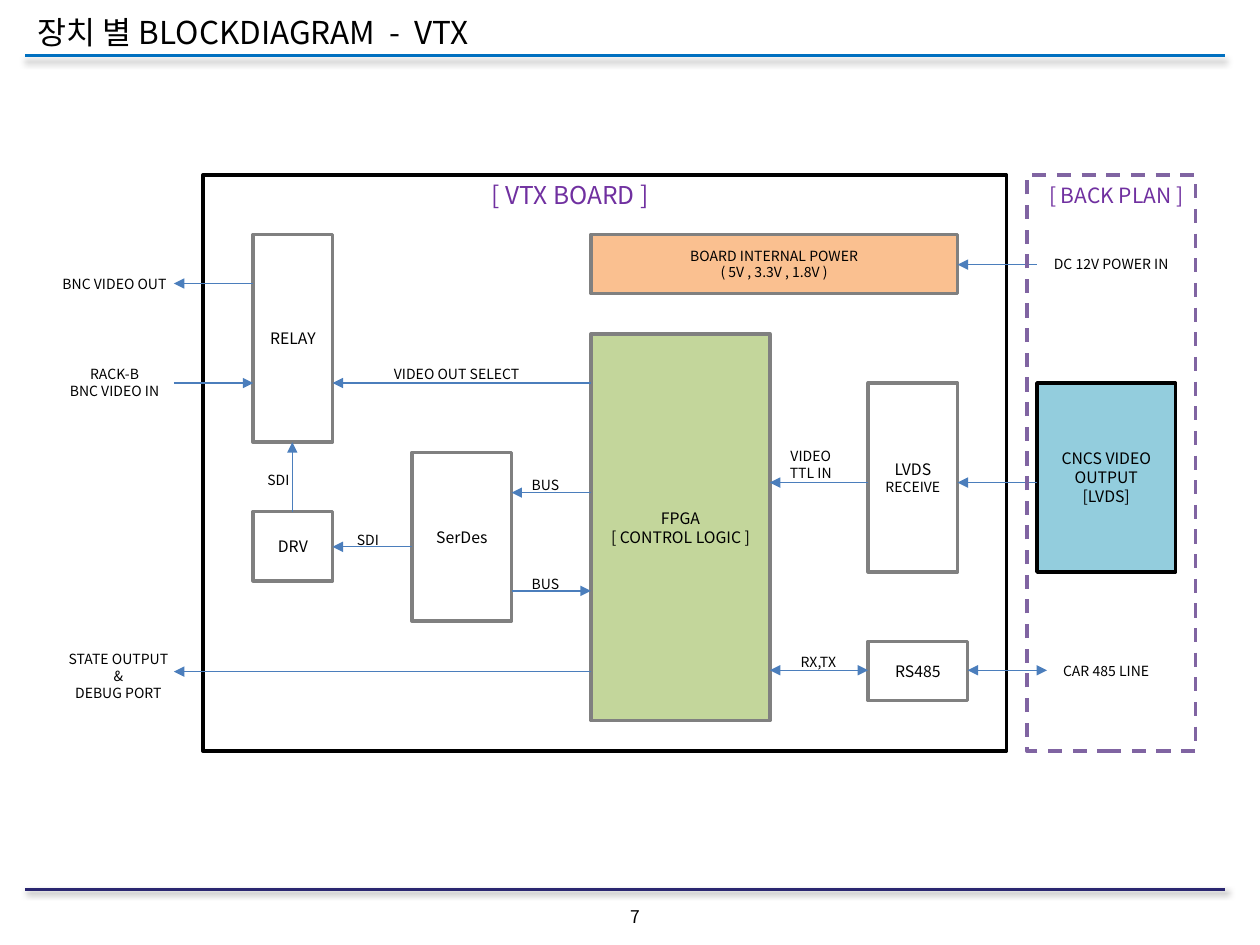
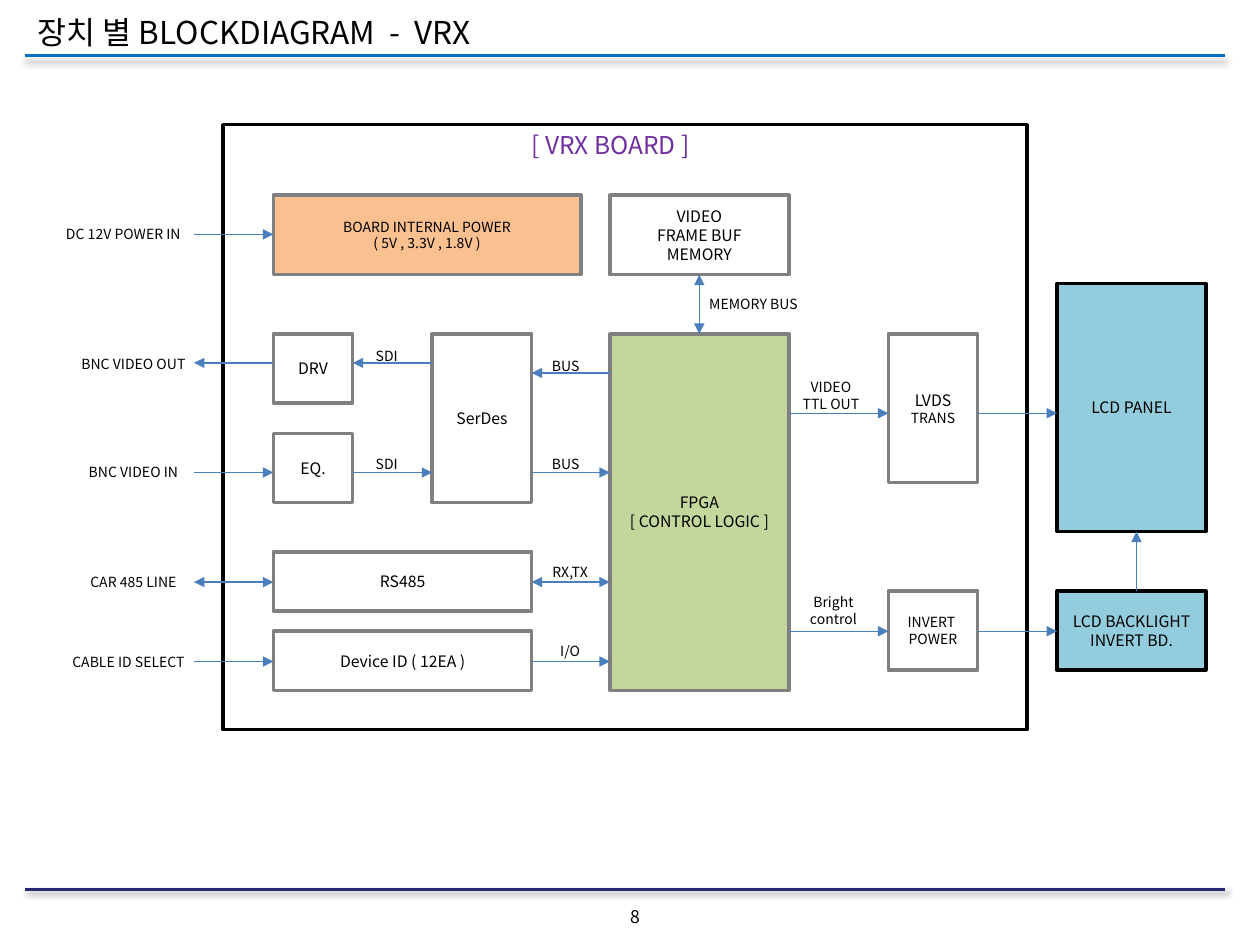
from lxml import etree
from pptx import Presentation
from pptx.dml.color import RGBColor
from pptx.enum import dml, shapes, text
from pptx.oxml.ns import qn
from pptx.util import Inches, Pt

FONT = "Noto Sans CJK KR"
BLACK = RGBColor(0x00, 0x00, 0x00)
GREY = RGBColor(0x80, 0x80, 0x80)
GREEN = RGBColor(0xC3, 0xD6, 0x9B)
ORANGE = RGBColor(0xFA, 0xC0, 0x90)
AQUA = RGBColor(0x93, 0xCD, 0xDD)
ARROW_BLUE = RGBColor(0x4B, 0x7E, 0xBC)
TITLE_BLUE = RGBColor(0x00, 0x70, 0xC0)
FOOTER_NAVY = RGBColor(0x2A, 0x26, 0x70)
PURPLE = RGBColor(0x70, 0x30, 0xA0)
DASH_PURPLE = RGBColor(0x80, 0x64, 0xA2)

FPGA = "FPGA\n[ CONTROL LOGIC ]"
POWER = "BOARD INTERNAL POWER\n( 5V , 3.3V , 1.8V )"
SMALL_LINES = {*POWER.split("\n"), "RECEIVE", "TRANS", "INVERT ", "POWER"}
FILLS = {"fpga": GREEN, "power": ORANGE}

VTX = {
    "title": "장치 별 BLOCKDIAGRAM  -  VTX",
    "page": "7",
    "board": (1.61, 1.39, 6.38, 4.57),
    "blocks": {
        "drv": ("DRV", (2.01, 4.06, 0.63, 0.55)),
        "serdes": ("SerDes", (3.27, 3.59, 0.79, 1.34)),
        "fpga": (FPGA, (4.69, 2.65, 1.42, 3.07)),
        "relay": ("RELAY", (2.01, 1.86, 0.63, 1.65)),
        "lvds": ("LVDS\nRECEIVE", (6.89, 3.04, 0.71, 1.5)),
        "rs485": ("RS485", (6.89, 5.09, 0.79, 0.47)),
        "power": (POWER, (4.69, 1.86, 2.91, 0.47)),
    },
    "external": {
        "cncs": ("CNCS VIDEO\nOUTPUT\n[LVDS]", (8.23, 3.04, 1.1, 1.5)),
    },
    "flows": [
        ("fpga", "serdes", 3.91), ("serdes", "fpga", 4.69),
        ("serdes", "drv", 4.34), ("relay", 1.38, 2.25),
        (1.38, "relay", 3.04), ("lvds", "fpga", 3.83),
        ("cncs", "lvds", 3.83), (8.23, "power", 2.1),
        ("fpga", "relay", 3.04), ("fpga", 1.38, 5.33),
    ],
    "two_way": [("rs485", 8.31, 5.32), ("fpga", "rs485", 5.32)],
    "rising": [("drv", "relay", 2.32)],
    "rising_two_way": [],
    "labels": [
        ("BUS", (4.21, 3.75, 0.24, 0.19)),
        ("BUS", (4.21, 4.54, 0.24, 0.19)),
        ("SDI", (2.8, 4.19, 0.24, 0.19)),
        ("SDI", (2.09, 3.71, 0.24, 0.19)),
        ("VIDEO\nTTL IN", (6.18, 3.59, 0.51, 0.19)),
        ("RX,TX", (6.34, 5.17, 0.31, 0.16)),
        ("VIDEO OUT SELECT", (2.8, 2.81, 1.65, 0.31)),
        ("CAR 485 LINE", (8.15, 5.17, 1.26, 0.31)),
        ("DC 12V POWER IN", (8.23, 1.94, 1.18, 0.31)),
        ("BNC VIDEO OUT", (0.28, 2.1, 1.26, 0.31)),
        ("RACK-B\nBNC VIDEO IN", (0.28, 2.88, 1.26, 0.31)),
        ("STATE OUTPUT\n&\nDEBUG PORT", (0.43, 5.09, 1.02, 0.55)),
    ],
    "headings": [
        ("[ VTX BOARD ]", (3.58, 1.39, 1.89, 0.31), 14),
        ("[ BACK PLAN ]", (8.15, 1.39, 1.42, 0.31), 12),
    ],
    "back_plan": (8.15, 1.39, 1.34, 4.57),
}

VRX = {
    "title": "장치 별 BLOCKDIAGRAM  -  VRX",
    "page": "8",
    "board": (1.77, 0.99, 6.38, 4.8),
    "blocks": {
        "drv": ("DRV", (2.17, 2.65, 0.63, 0.55)),
        "eq": ("EQ.", (2.17, 3.44, 0.63, 0.55)),
        "serdes": ("SerDes", (3.43, 2.65, 0.79, 1.34)),
        "fpga": (FPGA, (4.84, 2.65, 1.42, 2.83)),
        "lvds": ("LVDS\nTRANS", (7.05, 2.65, 0.71, 1.18)),
        "rs485": ("RS485", (2.17, 4.38, 2.05, 0.47)),
        "device": ("Device ID ( 12EA )", (2.17, 5.01, 2.05, 0.47)),
        "memory": ("VIDEO\nFRAME BUF\nMEMORY", (4.84, 1.55, 1.42, 0.63)),
        "power": (POWER, (2.17, 1.55, 2.44, 0.63)),
        "invert": ("INVERT \nPOWER", (7.05, 4.69, 0.71, 0.63)),
    },
    "external": {
        "panel": ("LCD PANEL", (8.39, 2.25, 1.18, 1.97)),
        "backlight": ("LCD BACKLIGHT\nINVERT BD.", (8.39, 4.69, 1.18, 0.63)),
    },
    "flows": [
        ("fpga", "serdes", 2.96), ("serdes", "fpga", 3.75),
        ("serdes", "drv", 2.88), ("eq", "serdes", 3.75),
        ("drv", 1.54, 2.88), (1.54, "eq", 3.75),
        ("fpga", "lvds", 3.28), ("lvds", "panel", 3.28),
        (1.54, "power", 1.86), ("device", "fpga", 5.25),
        (1.54, "device", 5.25), ("invert", "backlight", 5.01),
        ("fpga", "invert", 5.01),
    ],
    "two_way": [(1.54, "rs485", 4.62), ("rs485", "fpga", 4.62)],
    "rising": [("backlight", "panel", 9.02)],
    "rising_two_way": [("fpga", "memory", 5.55)],
    "labels": [
        ("BUS", (4.37, 2.81, 0.24, 0.19)),
        ("BUS", (4.37, 3.59, 0.24, 0.19)),
        ("SDI", (2.95, 2.73, 0.24, 0.19)),
        ("SDI", (2.95, 3.59, 0.24, 0.19)),
        ("VIDEO\nTTL OUT", (6.34, 3.04, 0.51, 0.19)),
        ("Bright\ncontrol", (6.34, 4.69, 0.55, 0.31)),
        ("MEMORY BUS", (5.47, 2.33, 1.02, 0.16)),
        ("RX,TX", (4.37, 4.46, 0.31, 0.16)),
        ("I/O", (4.37, 5.09, 0.31, 0.16)),
        ("DC 12V POWER IN", (0.35, 1.7, 1.26, 0.31)),
        ("BNC VIDEO OUT", (0.43, 2.73, 1.26, 0.31)),
        ("BNC VIDEO IN", (0.43, 3.59, 1.26, 0.31)),
        ("CAR 485 LINE", (0.43, 4.46, 1.26, 0.31)),
        ("CABLE ID SELECT", (0.43, 5.17, 1.18, 0.16)),
    ],
    "headings": [("[ VRX BOARD ]", (3.9, 0.99, 1.89, 0.31), 14)],
    "back_plan": None,
}


def place(box):
    return [Inches(length) for length in box]


def style(paragraph, size, color=BLACK, align=text.PP_ALIGN.CENTER):
    paragraph.alignment = align
    paragraph.font.name = FONT
    paragraph.font.size = Pt(size)
    paragraph.font.color.rgb = color
    props = paragraph.font._element
    etree.SubElement(props, qn("a:ea"), typeface=FONT)


def write(frame, words, size, color=BLACK):
    frame.word_wrap = True
    frame.vertical_anchor = text.MSO_ANCHOR.MIDDLE
    frame.margin_left = frame.margin_right = 0
    frame.margin_top = frame.margin_bottom = 0
    frame.text = words
    for paragraph in frame.paragraphs:
        style(paragraph, 8 if paragraph.text in SMALL_LINES else size, color)


def add_label(slide, words, box, size=8, color=BLACK):
    write(slide.shapes.add_textbox(*place(box)).text_frame, words, size, color)


def add_box(slide, box, edge, fill=None, words=""):
    shape = slide.shapes.add_shape(shapes.MSO_SHAPE.RECTANGLE, *place(box))
    shape.shadow.inherit = False
    shape.line.color.rgb = edge
    shape.line.width = Pt(2)
    if fill is None:
        shape.fill.background()
    else:
        shape.fill.solid()
        shape.fill.fore_color.rgb = fill
    if words:
        write(shape.text_frame, words, 9)
    return shape


def add_line(slide, start, end, color, width):
    line = slide.shapes.add_connector(
        shapes.MSO_CONNECTOR.STRAIGHT, *place(start + end))
    line.line.color.rgb = color
    line.line.width = Pt(width)
    effects = etree.SubElement(line._element.spPr, qn("a:effectLst"))
    return line, effects


def add_rule(slide, y, color, opacity, distance, angle):
    _, effects = add_line(slide, (0.2, y), (9.72, y), color, 2)
    shadow = etree.SubElement(
        effects, qn("a:outerShdw"), blurRad=str(Pt(4)),
        dist=str(Pt(distance)), dir=str(angle * 60000), rotWithShape="0")
    shade = etree.SubElement(shadow, qn("a:srgbClr"), val=str(BLACK))
    etree.SubElement(shade, qn("a:alpha"), val=str(opacity * 1000))


def add_flows(slide, boxes, flows, axis, ends):
    def span(stop):
        if stop in boxes:
            box = boxes[stop]
            return box[axis], box[axis] + box[axis + 2]
        return stop, stop

    for source, target, across in flows:
        (near, far), (first, last) = span(source), span(target)
        start, end = (far, first) if near < first else (near, last)
        points = [(start, across), (end, across)]
        if axis == 1:
            points = [(x, y) for y, x in points]
        arrow, _ = add_line(slide, *points, ARROW_BLUE, 0.75)
        for tip in ends:
            etree.SubElement(arrow.line._get_or_add_ln(), qn(tip), type="triangle")


def add_frame(slide, title, page):
    heading = slide.shapes.title
    heading.left, heading.top, heading.width, heading.height = place(
        (0.2, 0.05, 9.13, 0.4))
    frame = heading.text_frame
    frame.text = title
    frame.word_wrap = True
    frame.auto_size = text.MSO_AUTO_SIZE.NONE
    frame.vertical_anchor = text.MSO_ANCHOR.TOP
    style(frame.paragraphs[0], 18, align=text.PP_ALIGN.LEFT)
    add_rule(slide, 0.44, TITLE_BLUE, 40, 3, 90)
    add_rule(slide, 7.06, FOOTER_NAVY, 50, 2, 45)
    add_label(slide, page, (4.69, 7.14, 0.71, 0.27), 10)


def add_diagram(prs, unit):
    slide = prs.slides.add_slide(prs.slide_layouts[5])
    add_frame(slide, unit["title"], unit["page"])
    add_box(slide, unit["board"], BLACK)
    for name, (words, box) in unit["blocks"].items():
        add_box(slide, box, GREY, FILLS.get(name), words)
    for words, box in unit["external"].values():
        add_box(slide, box, BLACK, AQUA, words)

    parts = {**unit["blocks"], **unit["external"]}
    boxes = {name: box for name, (_, box) in parts.items()}
    one, both = ["a:tailEnd"], ["a:headEnd", "a:tailEnd"]
    add_flows(slide, boxes, unit["flows"], 0, one)
    add_flows(slide, boxes, unit["two_way"], 0, both)
    add_flows(slide, boxes, unit["rising"], 1, one)
    add_flows(slide, boxes, unit["rising_two_way"], 1, both)

    for words, box in unit["labels"]:
        add_label(slide, words, box)
    if unit["back_plan"]:
        back_plan = add_box(slide, unit["back_plan"], DASH_PURPLE)
        back_plan.line.dash_style = dml.MSO_LINE.DASH
    for words, box, size in unit["headings"]:
        add_label(slide, words, box, size, PURPLE)


def main():
    prs = Presentation()
    prs.slide_width, prs.slide_height = Inches(10), Inches(7.5)
    for unit in (VTX, VRX):
        add_diagram(prs, unit)
    prs.save("out.pptx")


if __name__ == "__main__":
    main()
